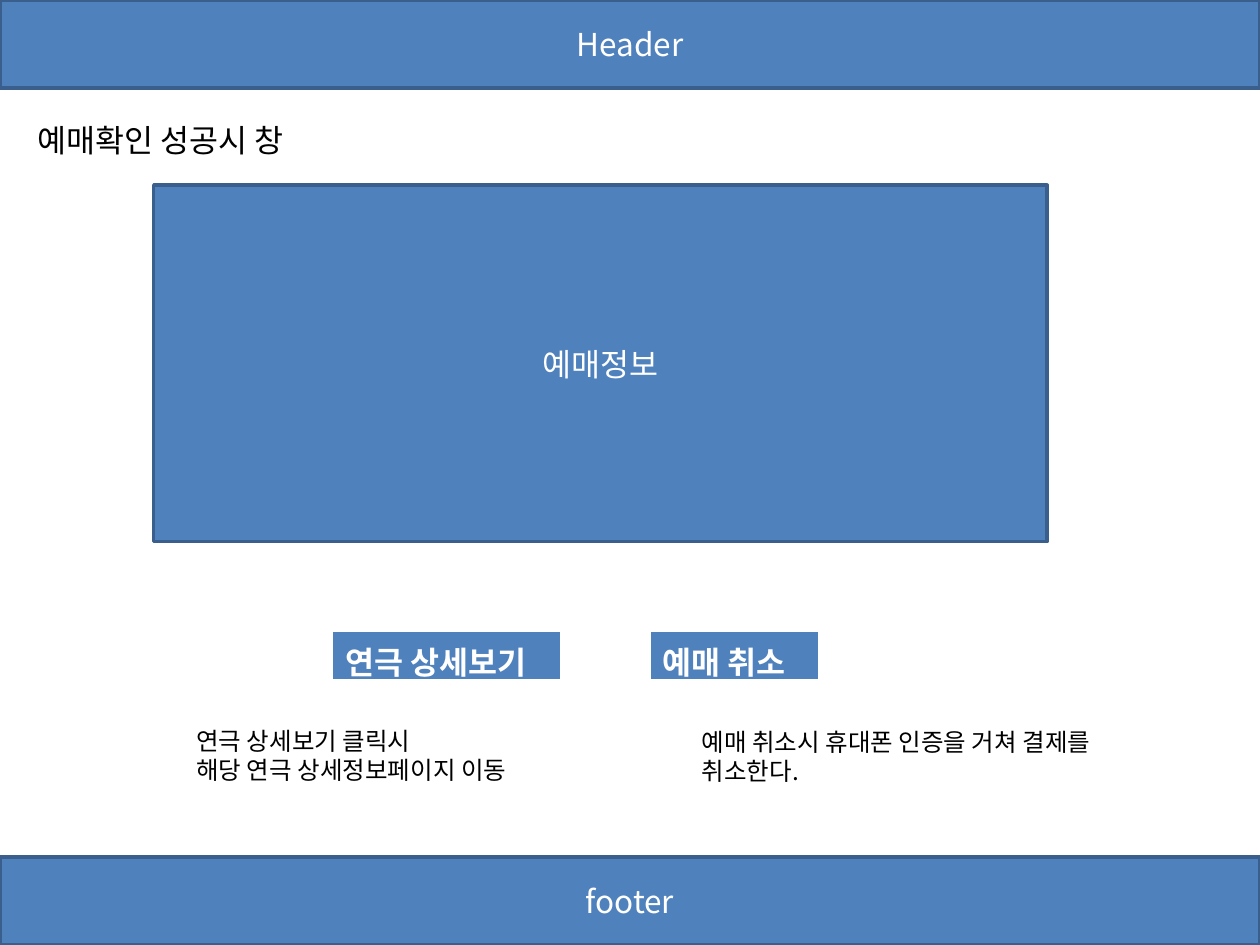
from lxml.etree import SubElement
from pptx import Presentation
from pptx.dml.color import RGBColor
from pptx.enum.shapes import MSO_SHAPE as Shape
from pptx.enum.text import MSO_ANCHOR as Anchor, MSO_AUTO_SIZE as AutoSize, PP_ALIGN as Align
from pptx.oxml.ns import qn
from pptx.util import Inches, Pt

FONT = "Noto Sans CJK KR"
BLUE = RGBColor(0x4F, 0x81, 0xBD)
DARK_BLUE = RGBColor(0x3A, 0x5F, 0x8C)
WHITE = RGBColor(0xFF, 0xFF, 0xFF)
BLACK = RGBColor(0, 0, 0)
BORDER_WIDTHS = {"a:lnL": 1, "a:lnR": 1, "a:lnT": 1, "a:lnB": 3}


def write_text(frame, text, color, size=18, bold=False, align=Align.LEFT):
    """Fill the frame with one paragraph per line of text."""
    frame.text = text
    for paragraph in frame.paragraphs:
        paragraph.alignment = align
        for run in paragraph.runs:
            formats = {"name": FONT, "size": Pt(size), "bold": bold}
            for name, value in formats.items():
                setattr(run.font, name, value)
            run.font.color.rgb = color
            SubElement(run.font._element, qn("a:ea"), typeface=FONT)


def add_panel(slide, box, text):
    shape = slide.shapes.add_shape(Shape.RECTANGLE, *map(Inches, box))
    shape.shadow.inherit = False
    shape.fill.solid()
    shape.fill.fore_color.rgb = BLUE
    shape.line.color.rgb = DARK_BLUE
    shape.line.width = Pt(2)
    shape.text_frame.vertical_anchor = Anchor.MIDDLE
    write_text(shape.text_frame, text, WHITE, align=Align.CENTER)


def add_button(slide, box, text):
    """Add a one-cell table that serves as a button."""
    table = slide.shapes.add_table(1, 1, *map(Inches, box)).table
    cell = table.cell(0, 0)
    write_text(cell.text_frame, text, WHITE, bold=True)
    properties = cell._tc.get_or_add_tcPr()
    for tag, width in BORDER_WIDTHS.items():
        border = SubElement(properties, qn(tag), w=str(Pt(width)))
        fill = SubElement(border, qn("a:solidFill"))
        SubElement(fill, qn("a:srgbClr"), val=str(WHITE))
    cell.fill.solid()
    cell.fill.fore_color.rgb = BLUE


def format_title(title, box, text):
    for name, value in zip(("left", "top", "width", "height"), box):
        setattr(title, name, Inches(value))
    frame = title.text_frame
    frame.word_wrap = True
    frame.auto_size = AutoSize.SHAPE_TO_FIT_TEXT
    frame.vertical_anchor = Anchor.TOP
    write_text(frame, text, BLACK)


def add_note(slide, box, text):
    frame = slide.shapes.add_textbox(*map(Inches, box)).text_frame
    frame.word_wrap = True
    frame.auto_size = AutoSize.SHAPE_TO_FIT_TEXT
    write_text(frame, text, BLACK, size=14)


def main():
    presentation = Presentation()
    presentation.slide_width = Inches(10)
    presentation.slide_height = Inches(7.5)
    slide = presentation.slides.add_slide(presentation.slide_layouts[5])

    format_title(slide.shapes.title, (0.2, 0.91, 2.52, 0.4), "예매확인 성공시 창")
    add_panel(slide, (0, 6.8, 10, 0.7), "footer")
    add_panel(slide, (0, 0, 10, 0.7), "Header")
    add_panel(slide, (1.22, 1.47, 7.09, 2.83), "예매정보")
    add_button(slide, (5.16, 5.01, 1.34, 0.4), "예매 취소")
    add_button(slide, (2.64, 5.01, 1.81, 0.4), "연극 상세보기")
    add_note(slide, (1.46, 5.71, 2.83, 0.79),
             "연극 상세보기 클릭시\n해당 연극 상세정보페이지 이동")
    add_note(slide, (5.47, 5.72, 3.31, 0.56),
             "예매 취소시 휴대폰 인증을 거쳐 결제를 취소한다.")
    presentation.save("out.pptx")


if __name__ == "__main__":
    main()
